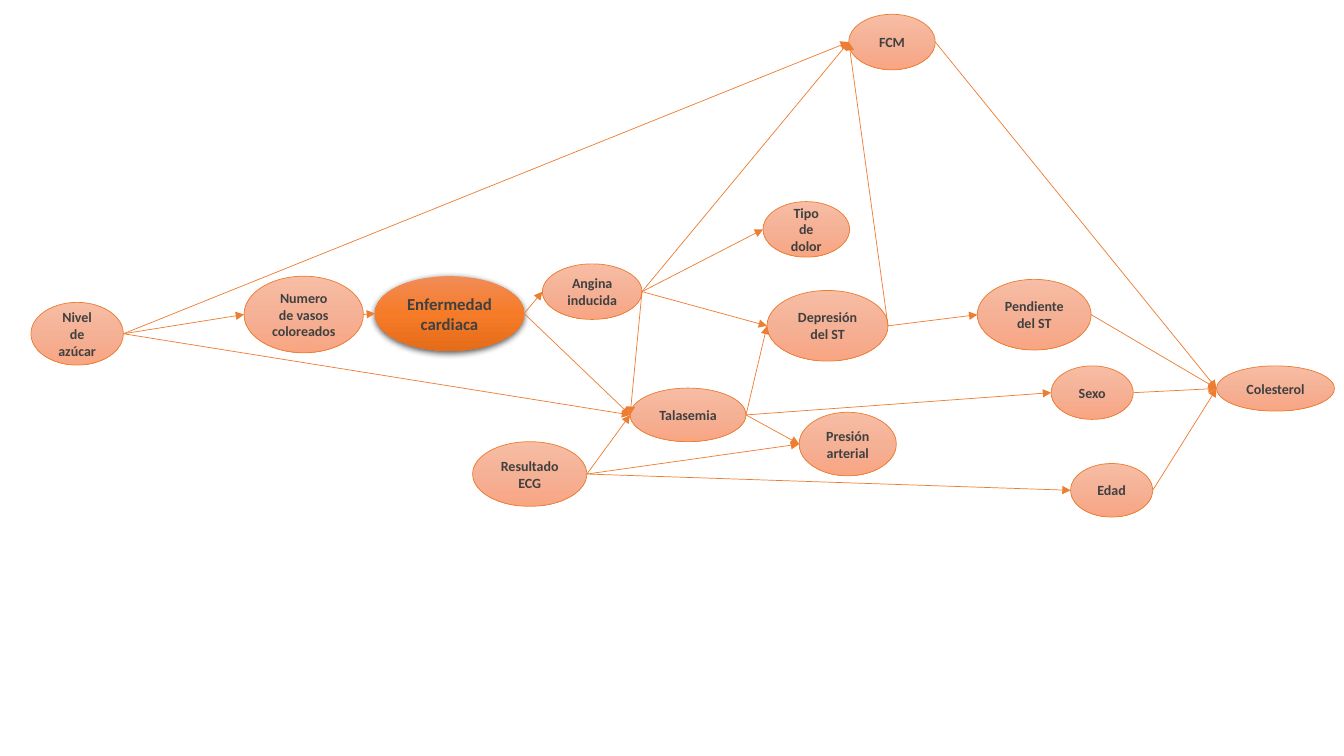
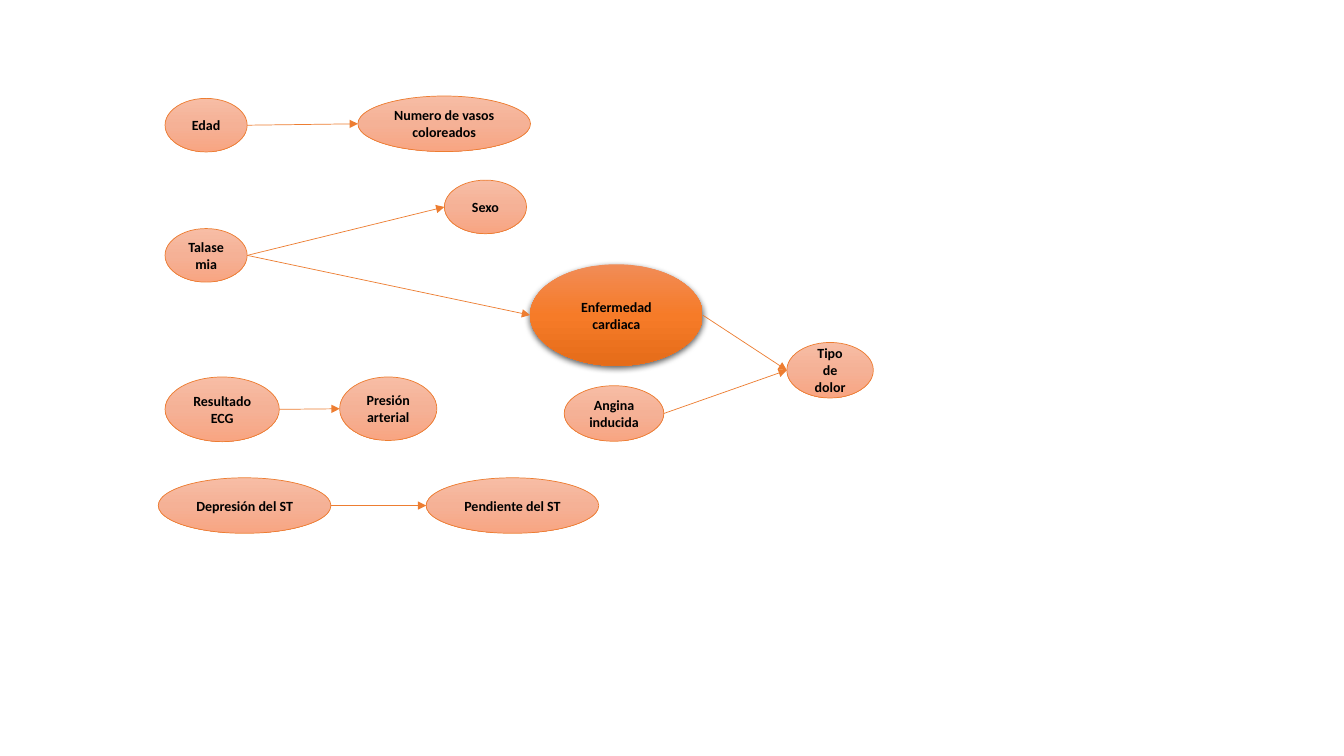
from copy import deepcopy

from lxml.etree import SubElement
from pptx import Presentation
from pptx.dml.color import RGBColor
from pptx.enum.shapes import MSO_CONNECTOR, MSO_SHAPE
from pptx.enum.text import MSO_ANCHOR, PP_ALIGN
from pptx.oxml.ns import qn
from pptx.util import Cm, Pt

COLORS = {"line": "ED7D31", "shadow": "000000", "gray": "404040", "black": "000000"}
GRADIENTS = {
    "main": ("F18C57", "F67B28", "E56C19"),
    "node": ("F7BDA5", "F5B196", "F8A582"),
}
FONT = "Calibri"
LINE_WIDTH = Pt(0.5)
MAIN = "Enfermedad cardiaca"

# Width and height in cm
SMALL = (2.07, 1.35)
PAIN = (2.18, 1.4)
ANGINA = (2.51, 1.4)
PRESSURE = (2.45, 1.6)
ECG = (2.88, 1.63)
WIDE = (4.35, 1.4)

# Nodes: left, top, size in cm. Arrows: source -> targets.
GRAPHS = [
    {
        "text": "gray",
        "main_size": 12,
        "nodes": {
            MAIN: (9.45, 6.96, (3.76, 1.88)),
            "Sexo": (26.49, 9.22, SMALL),
            "Edad": (26.98, 11.68, SMALL),
            "Presión arterial": (20.14, 10.39, PRESSURE),
            "Colesterol": (30.66, 9.22, (2.97, 1.14)),
            "Nivel de azúcar": (0.78, 7.62, (2.33, 1.58)),
            "Depresión del ST": (19.33, 7.32, (3.05, 1.78)),
            "Pendiente del ST": (24.63, 7.04, (2.87, 1.78)),
            "Talasemia": (15.88, 9.78, (2.92, 1.35)),
            "FCM": (21.39, 0.36, PAIN),
            "Tipo de dolor": (19.23, 5.08, PAIN),
            "Numero de vasos coloreados": (6.15, 6.96, (3.01, 1.93)),
            "Resultado ECG": (11.91, 11.13, ECG),
            "Angina inducida": (13.67, 6.65, ANGINA),
        },
        "arrows": {
            "Nivel de azúcar": ["FCM", "Numero de vasos coloreados", "Talasemia"],
            "Numero de vasos coloreados": [MAIN],
            MAIN: ["Angina inducida", "Talasemia"],
            "Angina inducida": ["FCM", "Tipo de dolor", "Depresión del ST", "Talasemia"],
            "Talasemia": ["Depresión del ST", "Presión arterial", "Sexo"],
            "Resultado ECG": ["Talasemia", "Presión arterial", "Edad"],
            "Depresión del ST": ["FCM", "Pendiente del ST"],
            "FCM": ["Colesterol"],
            "Pendiente del ST": ["Colesterol"],
            "Sexo": ["Colesterol"],
            "Edad": ["Colesterol"],
        },
    },
    {
        "text": "black",
        "main_size": 10,
        "nodes": {
            MAIN: (13.36, 6.66, (4.35, 2.56)),
            "Sexo": (11.2, 4.54, SMALL),
            "Edad": (4.16, 2.48, SMALL),
            "Presión arterial": (8.56, 9.5, PRESSURE),
            "Resultado ECG": (4.16, 9.5, ECG),
            "Depresión del ST": (3.99, 12.04, WIDE),
            "Pendiente del ST": (10.74, 12.04, WIDE),
            "Talasemia": (4.16, 5.76, SMALL),
            "Angina inducida": (14.22, 9.72, ANGINA),
            "Tipo de dolor": (19.83, 8.63, PAIN),
            "Numero de vasos coloreados": (9.02, 2.42, WIDE),
        },
        "arrows": {
            "Edad": ["Numero de vasos coloreados"],
            "Talasemia": ["Sexo", MAIN],
            "Resultado ECG": ["Presión arterial"],
            "Depresión del ST": ["Pendiente del ST"],
            MAIN: ["Tipo de dolor"],
            "Angina inducida": ["Tipo de dolor"],
        },
    },
]


def rgb(name):
    return RGBColor.from_string(COLORS[name])


def fill_gradient(sp, colors):
    fill = sp.fill
    fill.gradient()
    fill.gradient_angle = 270
    stops = sp._element.spPr.find(".//" + qn("a:gsLst"))
    stops.insert(1, deepcopy(stops[0]))
    for stop, position, color in zip(fill.gradient_stops, (0, 0.5, 1), colors):
        stop.position = position
        stop.color.rgb = RGBColor.from_string(color)


def add_shadow(sp):
    effects = sp._element.spPr.find(qn("a:effectLst"))
    shadow = SubElement(effects, qn("a:outerShdw"), blurRad=str(Pt(4.5)),
                        dist=str(Pt(1.5)), dir="5400000", algn="ctr", rotWithShape="0")
    color = SubElement(shadow, qn("a:srgbClr"), val=COLORS["shadow"])
    SubElement(color, qn("a:alpha"), val="63000")


def set_line(line):
    line.color.rgb = rgb("line")
    line.width = LINE_WIDTH


def add_node(s, text, box, color, size):
    left, top, (width, height) = box
    sp = s.shapes.add_shape(MSO_SHAPE.OVAL, *map(Cm, (left, top, width, height)))
    sp.shadow.inherit = False
    fill_gradient(sp, GRADIENTS["main" if text == MAIN else "node"])
    if text == MAIN:
        sp.line.fill.background()
        add_shadow(sp)
    else:
        set_line(sp.line)
    tf = sp.text_frame
    tf.word_wrap = True
    tf.vertical_anchor = MSO_ANCHOR.MIDDLE
    p = tf.paragraphs[0]
    p.alignment = PP_ALIGN.CENTER
    r = p.add_run()
    r.text = text
    for name, value in {"name": FONT, "size": Pt(size), "bold": True}.items():
        setattr(r.font, name, value)
    r.font.color.rgb = rgb(color)
    return sp


def add_arrow(s, source, target):
    """Join the right side of one oval to the left side of another."""
    c = s.shapes.add_connector(
        MSO_CONNECTOR.STRAIGHT,
        source.left + source.width, source.top + source.height // 2,
        target.left, target.top + target.height // 2)
    set_line(c.line)
    spPr = c._element.spPr
    SubElement(spPr.find(qn("a:ln")), qn("a:tailEnd"), type="triangle")
    SubElement(spPr, qn("a:effectLst"))
    # Ovals have eight connection sites: 6 is right, 2 is left
    ends = c._element.find(".//" + qn("p:cNvCxnSpPr"))
    for tag, sp, site in (("a:stCxn", source, "6"), ("a:endCxn", target, "2")):
        SubElement(ends, qn(tag), id=str(sp.shape_id), idx=site)


def main():
    prs = Presentation()
    prs.slide_width, prs.slide_height = Cm(33.87), Cm(19.05)
    for graph in GRAPHS:
        s = prs.slides.add_slide(prs.slide_layouts[6])
        nodes = {
            text: add_node(s, text, box, graph["text"],
                           graph["main_size"] if text == MAIN else 10)
            for text, box in graph["nodes"].items()
        }
        for source, targets in graph["arrows"].items():
            for target in targets:
                add_arrow(s, nodes[source], nodes[target])
    prs.save("out.pptx")


if __name__ == "__main__":
    main()
